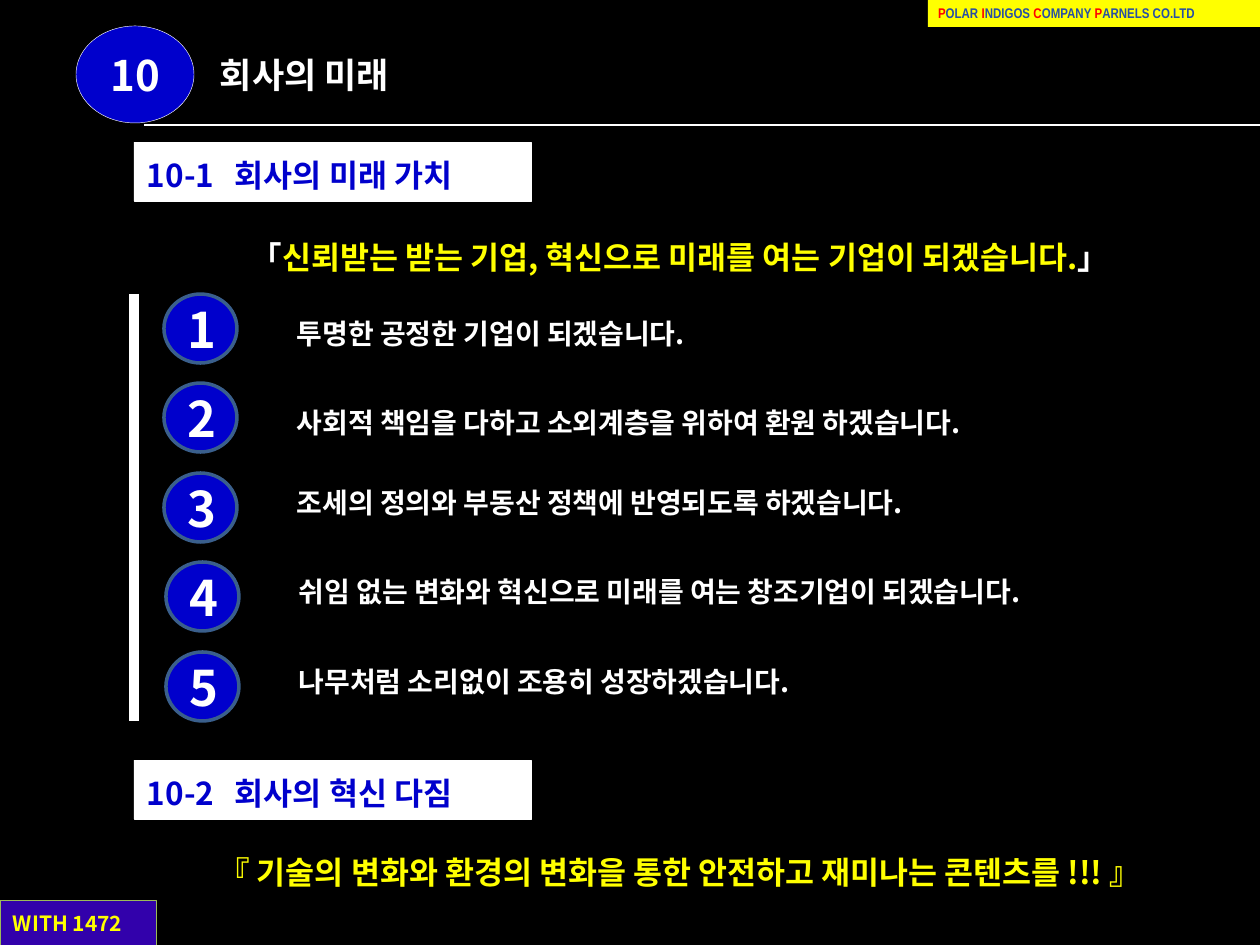
from dataclasses import dataclass

import pptx
import pptx.dml.color
import pptx.enum.shapes
import pptx.enum.text
import pptx.oxml.ns
import pptx.util
from lxml import etree

EMU_PER_PX = 914400 / 126
SHAPES = pptx.enum.shapes.MSO_SHAPE
ALIGN = pptx.enum.text.PP_ALIGN
ANCHOR = pptx.enum.text.MSO_ANCHOR


@dataclass(frozen=True)
class Theme:
    font: str = "Noto Sans CJK KR"
    narrow_font: str = "Arial Narrow"
    black: str = "000000"
    white: str = "FFFFFF"
    blue: str = "0000CC"
    yellow: str = "FFFF00"
    red: str = "FF0000"
    company_blue: str = "274FA4"
    circle_edge: str = "3A5F8C"
    violet: str = "3201AB"
    green: str = "9BBB59"
    company_size: int = 8
    footer_size: int = 12
    statement_size: int = 16
    section_size: int = 18
    title_size: int = 20
    chapter_size: int = 24
    number_size: int = 28
    hairline: float = 0.25
    rule: float = 0.75
    circle_line: float = 2
    bar: float = 6


THEME = Theme()

STATEMENTS = [
    ("투명한 공정한 기업이 되겠습니다.", 0, 10, 59),
    ("사회적 책임을 다하고 소외계층을 위하여 환원 하겠습니다.", 0, 10, 59),
    ("조세의 정의와 부동산 정책에 반영되도록 하겠습니다.", 0, 0, 69),
    ("쉬임 없는 변화와 혁신으로 미래를 여는 창조기업이 되겠습니다.", 2, 0, 69),
    ("나무처럼 소리없이 조용히 성장하겠습니다.", 2, 0, 69),
]


def px(length):
    return pptx.util.Emu(round(length * EMU_PER_PX))


def rgb(color):
    return pptx.dml.color.RGBColor.from_string(color)


def add_block(slide, kind, box, fill, edge=None, width=THEME.hairline):
    block = slide.shapes.add_shape(kind, *map(px, box))
    block.shadow.inherit = False
    block.fill.solid()
    block.fill.fore_color.rgb = rgb(fill)
    if edge:
        block.line.color.rgb = rgb(edge)
        block.line.width = pptx.util.Pt(width)
    else:
        block.line.fill.background()
    return block


def write(block, pieces, size, align=ALIGN.LEFT, anchor=ANCHOR.TOP,
          spacing=None, left=13, font=THEME.font):
    frame = block.text_frame
    frame.word_wrap = True
    frame.vertical_anchor = anchor
    frame.margin_left = px(left)
    paragraph = frame.paragraphs[0]
    paragraph.alignment = align
    if spacing:
        paragraph.line_spacing = spacing
    for text, color in pieces:
        run = paragraph.add_run()
        run.text = text
        run.font.size = pptx.util.Pt(size)
        run.font.bold = True
        run.font.name = font
        run.font.color.rgb = rgb(color)
        east_asian = etree.SubElement(run.font._element, pptx.oxml.ns.qn("a:ea"))
        east_asian.set("typeface", font)
    return paragraph


def add_rule(slide, start, end, width):
    rule = slide.shapes.add_connector(
        pptx.enum.shapes.MSO_CONNECTOR.STRAIGHT, *map(px, start + end))
    rule.line.color.rgb = rgb(THEME.white)
    rule.line.width = pptx.util.Pt(width)
    etree.SubElement(rule._element.spPr, pptx.oxml.ns.qn("a:effectLst"))


def add_circle(slide, box, number, size, edge, width):
    circle = add_block(slide, SHAPES.OVAL, box, THEME.blue, edge, width)
    write(circle, [(number, THEME.white)], size, ALIGN.CENTER, ANCHOR.MIDDLE)


def add_section(slide, top, number, title):
    section = add_block(slide, SHAPES.RECTANGLE, (134, top, 397, 59),
                        THEME.white, THEME.white)
    heading = write(section, [(f"{number}\t{title}", THEME.blue)],
                    THEME.section_size, spacing=1.2)
    tabs = etree.SubElement(heading._p.get_or_add_pPr(), pptx.oxml.ns.qn("a:tabLst"))
    etree.SubElement(tabs, pptx.oxml.ns.qn("a:tab"), pos=str(px(88)), algn="l")


def add_slogan(slide, top, pieces):
    slogan = add_block(slide, SHAPES.RECTANGLE, (134, top, 1091, 59), THEME.black)
    write(slogan, pieces, THEME.section_size, ALIGN.CENTER, spacing=1.2)


def add_statements(slide):
    for index, (text, shift, drop, height) in enumerate(STATEMENTS):
        top = 294 + 179 * index // 2
        statement = add_block(slide, SHAPES.RECTANGLE,
                              (278 + shift, top + drop, 948, height), THEME.black)
        write(statement, [(text, THEME.white)], THEME.statement_size,
              spacing=1.2, left=19)
        add_circle(slide, (164 + shift, top, 73, 69), str(index + 1),
                   THEME.number_size, THEME.circle_edge, THEME.circle_line)
    add_rule(slide, (134, 294), (134, 721), THEME.bar)


def add_header(slide):
    title = add_block(slide, SHAPES.ROUNDED_RECTANGLE, (204, 45, 355, 59),
                      THEME.black, THEME.black)
    write(title, [("회사의 미래", THEME.white)], THEME.title_size, anchor=ANCHOR.MIDDLE)
    add_circle(slide, (76, 26, 118, 97), "10", THEME.chapter_size,
               THEME.white, THEME.hairline)
    add_rule(slide, (144, 125), (1260, 125), THEME.rule)


def add_company(slide):
    company = add_block(slide, SHAPES.RECTANGLE, (928, 0, 332, 27), THEME.yellow)
    words = ["POLAR ", "INDIGOS ", "COMPANY ", "PARNELS CO.LTD"]
    pieces = [piece for word in words
              for piece in ((word[0], THEME.red), (word[1:], THEME.company_blue))]
    write(company, pieces, THEME.company_size, left=10, font=THEME.narrow_font)
    company.text_frame.margin_top = company.text_frame.margin_bottom = px(5)


def add_footer(slide):
    footer = add_block(slide, SHAPES.RECTANGLE, (0, 900, 156, 45),
                       THEME.violet, THEME.green)
    write(footer, [("WITH 1472", THEME.yellow)], THEME.footer_size, left=13)
    footer.text_frame.margin_top = px(10)


def main():
    deck = pptx.Presentation()
    deck.slide_width, deck.slide_height = px(1260), px(945)
    slide = deck.slides.add_slide(deck.slide_layouts[6])
    slide.background.fill.solid()
    slide.background.fill.fore_color.rgb = rgb(THEME.black)
    add_header(slide)
    add_section(slide, 142, "10-1", "회사의 미래 가치")
    add_slogan(slide, 224, [
        ("「", THEME.white),
        ("신뢰받는 받는 기업, 혁신으로 미래를 여는 기업이 되겠습니다.", THEME.yellow),
        ("」", THEME.white),
    ])
    add_statements(slide)
    add_section(slide, 760, "10-2", "회사의 혁신 다짐")
    add_slogan(slide, 839, [
        ("『 기술의 변화와 환경의 변화을 통한 안전하고 재미나는 콘텐츠를 !!! 』", THEME.yellow),
    ])
    add_company(slide)
    add_footer(slide)
    deck.save("out.pptx")


if __name__ == "__main__":
    main()
